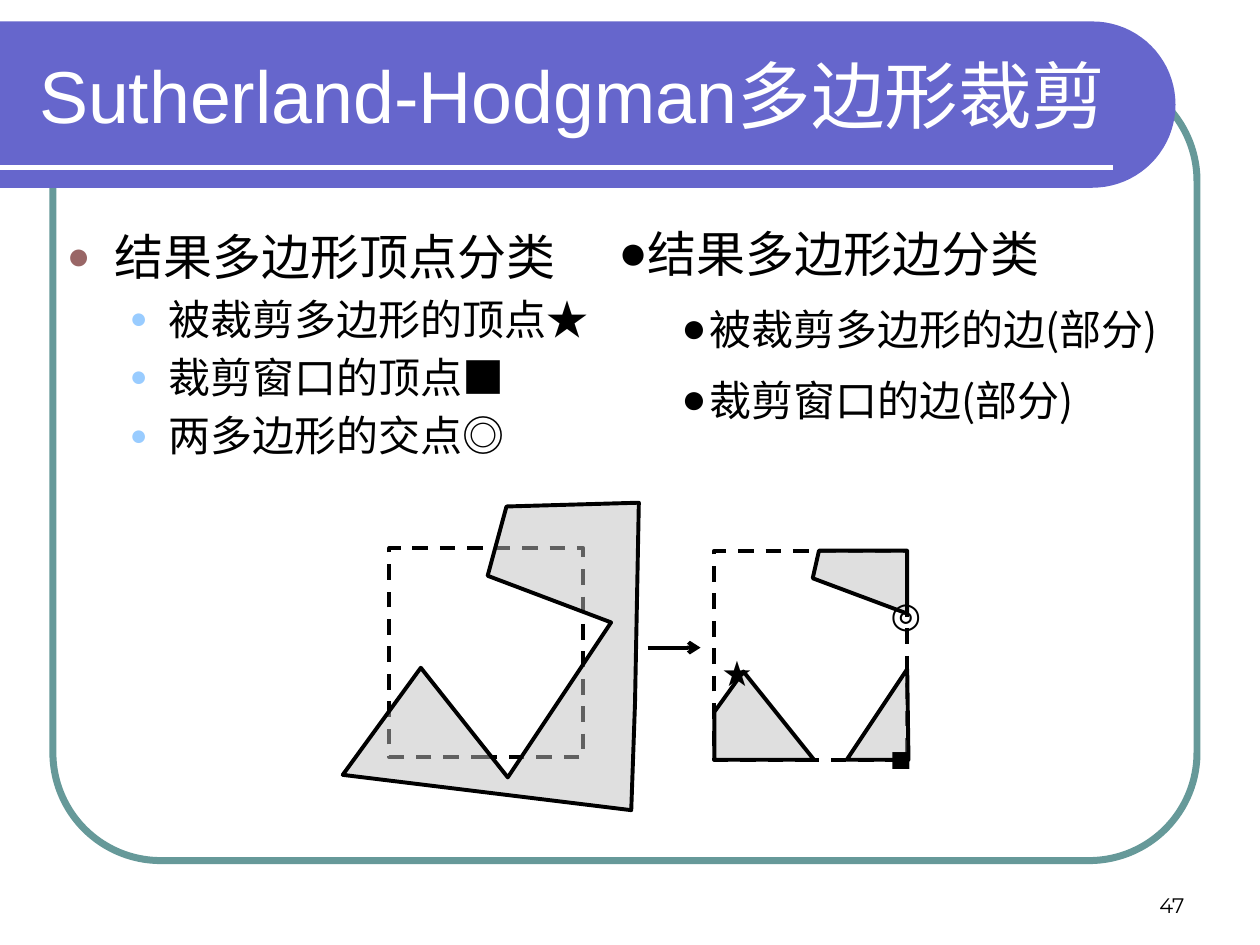
from math import cos, pi, sin

from lxml.etree import SubElement
from pptx import Presentation
from pptx.dml.color import RGBColor
from pptx.enum.dml import MSO_LINE
from pptx.enum.shapes import MSO_CONNECTOR, MSO_SHAPE
from pptx.enum.text import MSO_ANCHOR, MSO_AUTO_SIZE, PP_ALIGN
from pptx.oxml.ns import qn
from pptx.util import Inches, Pt

# Content
TITLE = "Sutherland-Hodgman多边形裁剪"
PAGE_NUMBER = "47"
# Each item: (level, text, symbol)
VERTEX_CLASSES = [
    (0, "结果多边形顶点分类", ""),
    (1, "被裁剪多边形的顶点", "★"),
    (1, "裁剪窗口的顶点", "■"),
    (1, "两多边形的交点", "◎"),
]
EDGE_CLASSES = [
    (0, "结果多边形边分类", ""),
    (1, "被裁剪多边形的边(部分)", ""),
    (1, "裁剪窗口的边(部分)", ""),
]
CLIP_WINDOWS = [(3.09, 4.35, 1.54, 1.66), (5.67, 4.37, 1.53, 1.66)]
SUBJECT_POLYGON = [(4.85, 4.94), (4.03, 6.17), (3.34, 5.3), (2.72, 6.15), (5.01, 6.43),
                   (5.04, 5.58), (5.07, 3.99), (4.02, 4.02), (3.87, 4.57)]
CLIPPED_POLYGONS = [
    [(5.9, 5.33), (5.67, 5.65), (5.67, 6.03), (6.46, 6.03)],
    [(7.2, 5.31), (7.21, 6.03), (6.72, 6.03)],
    [(6.5, 4.37), (6.45, 4.59), (7.2, 4.87), (7.2, 4.37)],
]
MARKERS = [("■", 6.91, 5.8), ("★", 5.61, 5.12), ("◎", 6.95, 4.65)]

THEME = {
    "latin": "Arial", "chinese": "Noto Sans CJK SC", "number": "Montserrat",
    "banner": "6666CC", "frame": "669999", "white": "FFFFFF", "ink": "000000",
    "polygon": "C0C0C0",
    "title_size": 42, "list_sizes": (28, 24), "marker_size": 20, "number_size": 12,
    "figure_line": 2.25, "line_height": 1.19,
}
# Per level: text margin and hanging indent in inches, bullet colour, bullet percent
VERTEX_STYLE = {"levels": [(0.38, 0.38, "996666", 80), (0.81, 0.31, "99CCFF", 70)],
                "gap": 0.2, "align": PP_ALIGN.LEFT}
EDGE_STYLE = {"levels": [(0.5, 0.22, "000000", 100), (1.0, 0.22, "000000", 100)],
              "gap": 0.5, "align": PP_ALIGN.JUSTIFY}


def color(name):
    return RGBColor.from_string(THEME[name])


def format_run(run, size, font, ink="ink", east_asian=None):
    run.font.size = Pt(size)
    run.font.name = THEME[font]
    run.font.color.rgb = color(ink)
    SubElement(run._r.get_or_add_rPr(), qn("a:ea"), typeface=THEME[east_asian or font])


def place(shape, left, top, width, height):
    shape.left, shape.top = Inches(left), Inches(top)
    shape.width, shape.height = Inches(width), Inches(height)


def set_outline(shape, width, ink="ink"):
    shape.line.color.rgb = color(ink)
    shape.line.width = Pt(width)


def add_outline_shape(slide, kind, box, width, ink="ink"):
    shape = slide.shapes.add_shape(kind, *map(Inches, box))
    shape.shadow.inherit = False
    shape.fill.background()
    set_outline(shape, width, ink)
    return shape


def add_polygon(slide, points, fill):
    corners = [(Inches(x), Inches(y)) for x, y in points]
    builder = slide.shapes.build_freeform(*corners[0])
    builder.add_line_segments(corners[1:], close=True)
    shape = builder.convert_to_shape()
    shape.shadow.inherit = False
    shape.fill.solid()
    shape.fill.fore_color.rgb = color(fill)
    return shape


def add_figure_polygon(slide, points):
    shape = add_polygon(slide, points, "polygon")
    set_outline(shape, THEME["figure_line"])
    fill_color = shape._element.spPr.find(qn("a:solidFill"))[0]
    SubElement(fill_color, qn("a:alpha"), val="50000")


def add_line(slide, start, end, width, ink="ink"):
    line = slide.shapes.add_connector(MSO_CONNECTOR.STRAIGHT, *map(Inches, start + end))
    set_outline(line, width, ink)
    SubElement(line._element.spPr, qn("a:effectLst"))
    return line


def add_label(slide, text, box, size, font, align, anchor=MSO_ANCHOR.TOP, wrap=False):
    frame = slide.shapes.add_textbox(*map(Inches, box)).text_frame
    frame.word_wrap = wrap
    frame.vertical_anchor = anchor
    frame.text = text
    frame.paragraphs[0].alignment = align
    format_run(frame.paragraphs[0].runs[0], size, font)


def set_bullet(paragraph, margin, hanging, ink, percent):
    properties = paragraph._p.get_or_add_pPr()
    properties.set("marL", str(Inches(margin)))
    properties.set("indent", str(-Inches(hanging)))
    bullet_color = SubElement(properties, qn("a:buClr"))
    SubElement(bullet_color, qn("a:srgbClr"), val=ink)
    SubElement(properties, qn("a:buSzPct"), val=str(percent * 1000))
    SubElement(properties, qn("a:buFont"), typeface=THEME["latin"])
    SubElement(properties, qn("a:buChar"), char="●")


def fill_list(frame, items, style):
    frame.word_wrap = True
    frame.auto_size = MSO_AUTO_SIZE.NONE
    frame.vertical_anchor = MSO_ANCHOR.TOP
    frame.text = "\n".join(text for _, text, _ in items)
    for paragraph, (level, _, symbol) in zip(frame.paragraphs, items):
        size = THEME["list_sizes"][level]
        paragraph.level = level
        paragraph.alignment = style["align"]
        paragraph.line_spacing = Pt(size * THEME["line_height"])
        paragraph.space_before = Pt(size * style["gap"])
        set_bullet(paragraph, *style["levels"][level])
        format_run(paragraph.runs[0], size, "chinese")
        if symbol:
            run = paragraph.add_run()
            run.text = symbol
            format_run(run, size, "latin", east_asian="chinese")


def add_backdrop(slide):
    frame = add_outline_shape(slide, MSO_SHAPE.ROUNDED_RECTANGLE,
                              (0.42, 0.58, 9.08, 6.25), 4, "frame")
    frame.adjustments[0] = 0.137
    # Banner with a half-round right end
    center_x, center_y, radius, steps = 8.67, 0.83, 0.66, 40
    angles = [pi * (step / steps - 0.5) for step in range(steps + 1)]
    arc = [(center_x + radius * cos(angle), center_y + radius * sin(angle))
           for angle in angles]
    banner = add_polygon(slide, [(0, 0.17), *arc, (0, 1.49)], "banner")
    banner.line.fill.background()
    add_line(slide, (0, 1.33), (8.83, 1.33), 3, "white")


def add_figure(slide):
    width = THEME["figure_line"]
    for window, polygons in zip(CLIP_WINDOWS, ([SUBJECT_POLYGON], CLIPPED_POLYGONS)):
        shape = add_outline_shape(slide, MSO_SHAPE.RECTANGLE, window, width)
        shape.line.dash_style = MSO_LINE.DASH
        for polygon in polygons:
            add_figure_polygon(slide, polygon)
    arrow = add_line(slide, (5.14, 5.14), (5.56, 5.14), width)
    SubElement(arrow.line._get_or_add_ln(), qn("a:tailEnd"), type="arrow")
    for symbol, left, top in MARKERS:
        add_label(slide, symbol, (left, top, 0.48, 0.44), THEME["marker_size"],
                  "latin", PP_ALIGN.CENTER)


def main():
    presentation = Presentation()
    presentation.slide_width, presentation.slide_height = Inches(10), Inches(7.5)
    slide = presentation.slides.add_slide(presentation.slide_layouts[1])
    title, body = slide.shapes.title, slide.placeholders[1]
    add_backdrop(slide)

    # Title and body stand in front of the backdrop
    for placeholder in (title, body):
        slide.shapes._spTree.append(placeholder._element)
    place(title, 0.21, 0.25, 9.16, 1)
    title.text_frame.text = TITLE
    title.text_frame.vertical_anchor = MSO_ANCHOR.MIDDLE
    title.text_frame.auto_size = MSO_AUTO_SIZE.NONE
    title.text_frame.paragraphs[0].alignment = PP_ALIGN.LEFT
    format_run(title.text_frame.paragraphs[0].runs[0], THEME["title_size"], "latin", "white")

    # Two lists
    place(body, 0.43, 1.75, 4.81, 2.08)
    fill_list(body.text_frame, VERTEX_CLASSES, VERTEX_STYLE)
    edge_box = slide.shapes.add_textbox(*map(Inches, (4.53, 1.73, 5, 1.78)))
    fill_list(edge_box.text_frame, EDGE_CLASSES, EDGE_STYLE)

    # Clipping figure and page number
    add_figure(slide)
    add_label(slide, PAGE_NUMBER, (7.17, 6.83, 2.33, 0.5), THEME["number_size"],
              "number", PP_ALIGN.RIGHT, MSO_ANCHOR.BOTTOM, wrap=True)
    presentation.save("out.pptx")


if __name__ == "__main__":
    main()
